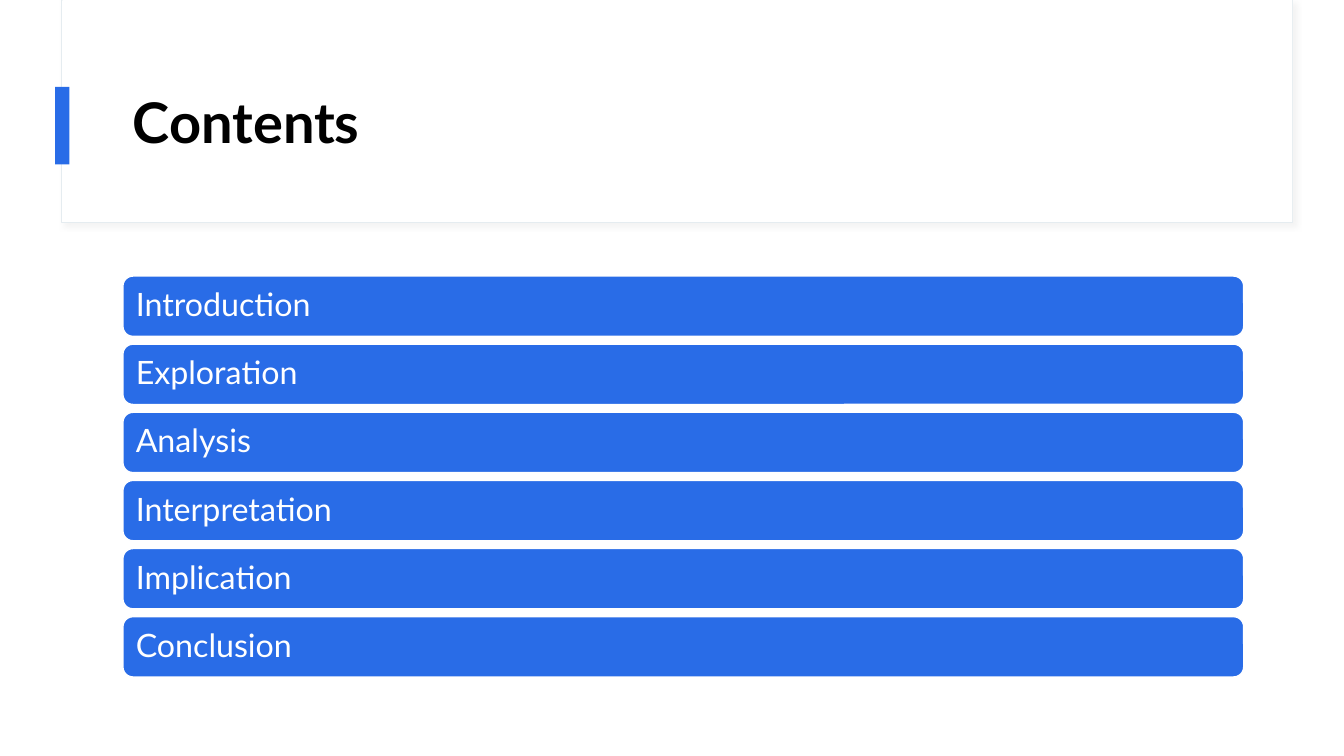
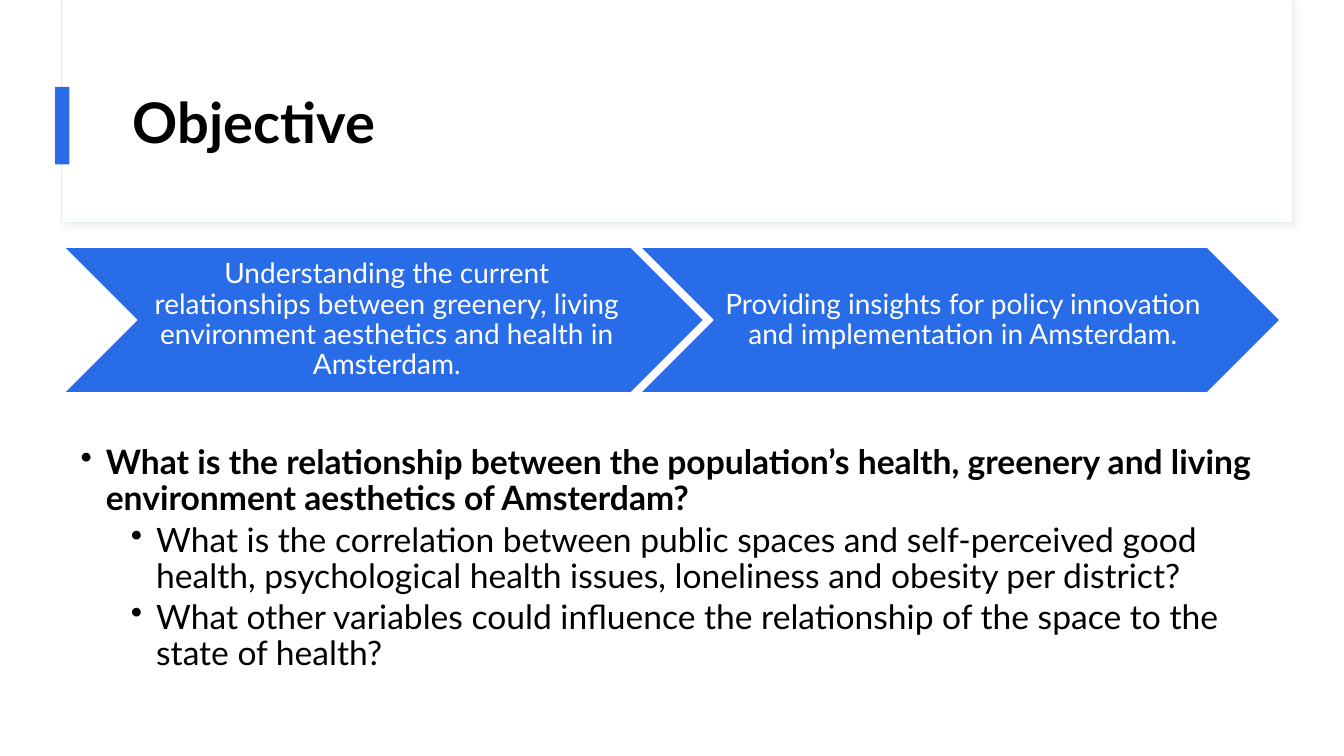
from dataclasses import dataclass

from lxml import etree
from pptx import Presentation
from pptx.dml.color import RGBColor
from pptx.enum.shapes import MSO_SHAPE
from pptx.enum.text import MSO_ANCHOR, PP_ALIGN
from pptx.oxml.ns import qn
from pptx.util import Pt

RECT = MSO_SHAPE.RECTANGLE
ROUND = MSO_SHAPE.ROUNDED_RECTANGLE
ARROW = MSO_SHAPE.CHEVRON
LEFT, CENTER = PP_ALIGN.LEFT, PP_ALIGN.CENTER
MIDDLE, TOP = MSO_ANCHOR.MIDDLE, MSO_ANCHOR.TOP


@dataclass(frozen=True)
class Theme:
    font: str = "Lato"
    blue: RGBColor = RGBColor(0x29, 0x6C, 0xE7)
    white: RGBColor = RGBColor(0xFF, 0xFF, 0xFF)
    black: RGBColor = RGBColor(0, 0, 0)
    edge: RGBColor = RGBColor(0xE5, 0xEC, 0xF0)
    shade: str = "D9D9D9"
    title: int = 40
    body: int = 24
    row: int = 23
    step: int = 20


theme = Theme()


def add_box(slide, kind, box, fill, line=None, width=1):
    shape = slide.shapes.add_shape(kind, *map(Pt, box))
    shape.shadow.inherit = False
    shape.fill.solid()
    shape.fill.fore_color.rgb = fill
    if line is None:
        shape.line.fill.background()
    else:
        shape.line.color.rgb = line
        shape.line.width = Pt(width)
    return shape


def set_text(shape, lines, size, color, insets, align=LEFT, anchor=MIDDLE, bold=False):
    frame = shape.text_frame
    frame.word_wrap = True
    frame.vertical_anchor = anchor
    (frame.margin_left, frame.margin_top,
     frame.margin_right, frame.margin_bottom) = map(Pt, insets)
    frame.text = "\n".join(lines)
    for para in frame.paragraphs:
        para.alignment = align
        para.line_spacing = 0.9
        para.font.name = theme.font
        para.font.size = Pt(size)
        para.font.color.rgb = color
        para.font.bold = bold
    return frame.paragraphs


deck = Presentation()
deck.slide_width, deck.slide_height = Pt(960), Pt(540)
blank = deck.slide_layouts[6]

slides = []
for title in ("Contents", "Objective"):
    slide = deck.slides.add_slide(blank)
    panel = add_box(slide, RECT, (44.2, 0, 879.1, 159.1), theme.white, theme.edge, 0.75)
    glow = etree.SubElement(
        panel._element.spPr.find(qn("a:effectLst")), qn("a:outerShdw"),
        blurRad=str(Pt(4)), dist=str(Pt(3)), dir="2700000", algn="tl", rotWithShape="0")
    tint = etree.SubElement(glow, qn("a:srgbClr"), val=theme.shade)
    etree.SubElement(tint, qn("a:alpha"), val="30000")
    add_box(slide, RECT, (44.6, 0, 878.4, 158.4), theme.white)
    add_box(slide, RECT, (39.4, 62, 10.2, 55.4), theme.blue)
    head = slide.shapes.add_textbox(Pt(87.8), Pt(43.2), Pt(800.6), Pt(92.9))
    set_text(head, [title], theme.title, theme.black, (7.2, 3.6, 7.2, 3.6), bold=True)
    slides.append(slide)
contents, goal = slides

topics = ("Introduction", "Exploration", "Analysis",
          "Interpretation", "Implication", "Conclusion")
for i, topic in enumerate(topics):
    bar = add_box(contents, ROUND, (87.8, 197.2 + i * 48.66, 800.6, 43.1),
                  theme.blue, theme.white)
    set_text(bar, [topic], theme.row, theme.white, (7.2,) * 4)

steps = (
    "Understanding the current relationships between greenery, living "
    "environment aesthetics and health in Amsterdam.",
    "Providing insights for policy innovation and implementation in Amsterdam.",
)
for i, step in enumerate(steps):
    arrow = add_box(goal, ARROW, (45.6 + i * 411.6, 176.6, 457.2, 104),
                    theme.blue, theme.white)
    set_text(arrow, [step], theme.step, theme.white, (6.3, 2.1, 2.1, 2.1), CENTER)

asks = (
    "What is the relationship between the population’s health, greenery and "
    "living environment aesthetics of Amsterdam?",
    "What is the correlation between public spaces and self-perceived good "
    "health, psychological health issues, loneliness and obesity per district?",
    "What other variables could influence the relationship of the space to "
    "the state of health?",
)
body = goal.shapes.add_textbox(Pt(57.6), Pt(318.2), Pt(845.3), Pt(200.2))
paras = set_text(body, asks, theme.body, theme.black, (0,) * 4, anchor=TOP)
for i, para in enumerate(paras):
    para.level = min(i, 1)
    para.font.bold = i == 0
    para.space_after = Pt(3.6)
    props = para._p.get_or_add_pPr()
    props.set("marL", str(Pt(18 + 36 * para.level)))
    props.set("indent", str(Pt(-18)))
    mark = etree.Element(qn("a:buChar"), char="•")
    props.find(qn("a:defRPr")).addprevious(mark)

deck.save("out.pptx")
